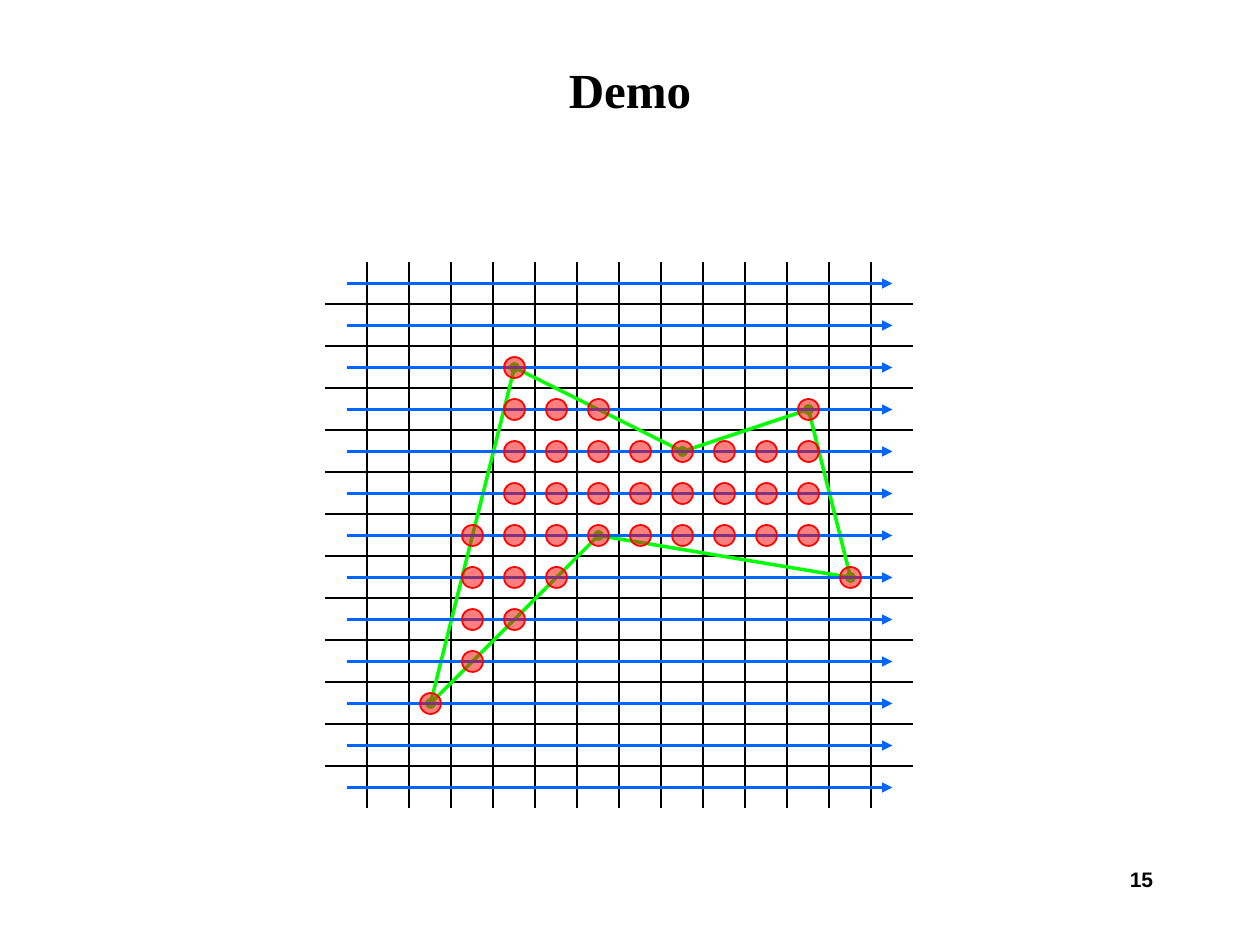
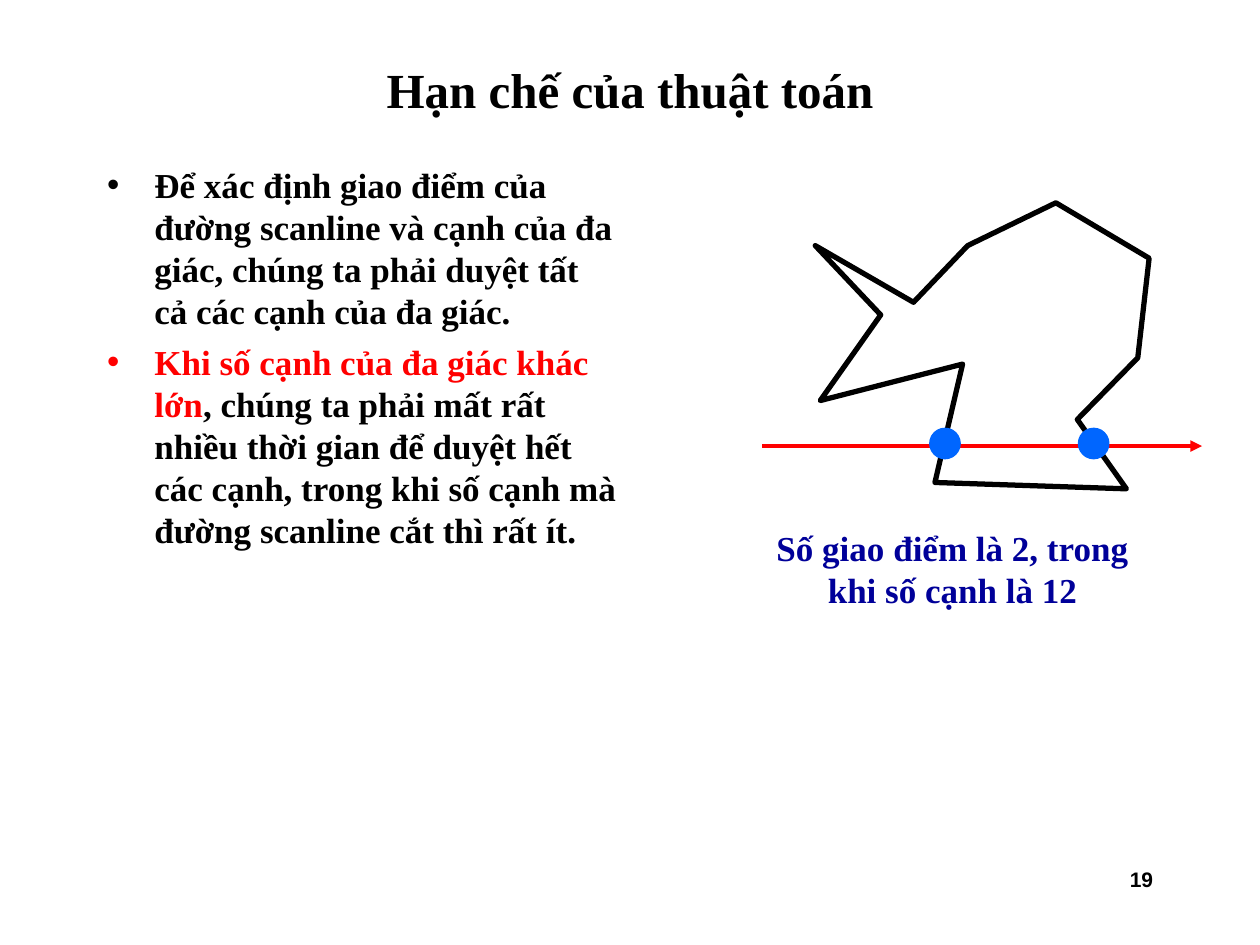
from lxml import etree
from pptx import Presentation
from pptx.dml.color import RGBColor
from pptx.enum import shapes, text
from pptx.oxml import ns
from pptx.util import Inches, Pt

SERIF, SANS = "Times New Roman", "Arial"
BLACK, RED, GREEN, BLUE, NAVY = "000000", "FF0000", "00FF00", "0066FF", "000099"
rgb = RGBColor.from_string


def add_line(slide, start, end, color, width, head=None, tail=None):
    """Draw a straight line between two points in inches, with optional end marks."""
    line = slide.shapes.add_connector(
        shapes.MSO_CONNECTOR.STRAIGHT, *[Inches(v) for v in (*start, *end)])
    line.line.color.rgb = rgb(color)
    line.line.width = Pt(width)
    for tag, mark in (("a:headEnd", head), ("a:tailEnd", tail)):
        if mark:
            etree.SubElement(line.line._get_or_add_ln(), ns.qn(tag), type=mark)
    etree.SubElement(line._element.spPr, ns.qn("a:effectLst"))


def add_dot(slide, center, size, color, width, opacity=100):
    """Draw a circle around a point in inches; opacity is in percent."""
    x, y = center
    dot = slide.shapes.add_shape(
        shapes.MSO_SHAPE.OVAL, Inches(x - size / 2), Inches(y - size / 2),
        Inches(size), Inches(size))
    dot.shadow.inherit = False
    dot.fill.solid()
    dot.fill.fore_color.rgb = rgb(color)
    dot.line.color.rgb = rgb(color)
    dot.line.width = Pt(width)
    if opacity < 100:
        fill_color = dot._element.spPr.find(".//" + ns.qn("a:srgbClr"))
        etree.SubElement(fill_color, ns.qn("a:alpha"), val=str(opacity * 1000))


prs = Presentation()
prs.slide_width, prs.slide_height = Inches(10), Inches(7.5)

# Title and page number of every slide
slides = []
for layout, heading, number in ((5, "Demo", "15"),
                                (1, "Hạn chế của thuật toán", "19")):
    slide = prs.slides.add_slide(prs.slide_layouts[layout])
    slides.append(slide)

    title = slide.shapes.title
    title.left, title.top = Inches(0.75), Inches(0.33)
    title.width, title.height = Inches(8.5), Inches(0.75)
    title.text_frame.text = heading
    title.text_frame.auto_size = text.MSO_AUTO_SIZE.NONE
    title.text_frame.vertical_anchor = text.MSO_ANCHOR.MIDDLE

    page = slide.shapes.add_textbox(
        Inches(7.17), Inches(6.83), Inches(2.08), Inches(0.5))
    page.text_frame.word_wrap = True
    page.text_frame.text = number

    for box, align, font_name, size in (
            (title, text.PP_ALIGN.CENTER, SERIF, 28),
            (page, text.PP_ALIGN.RIGHT, SANS, 12)):
        paragraph = box.text_frame.paragraphs[0]
        paragraph.alignment = align
        paragraph.font.name, paragraph.font.size = font_name, Pt(size)
        paragraph.font.bold = True
        paragraph.font.color.rgb = rgb(BLACK)

demo, limits = slides

# Demo: pixel grid, polygon, then each scanline with the pixels it fills
CELL = 1 / 3
ROWS, COLUMNS = 13, 14
GRID_LEFT, GRID_TOP = 2.58, 2.08
GRID_RIGHT, GRID_BOTTOM = GRID_LEFT + COLUMNS * CELL, GRID_TOP + ROWS * CELL
FIRST_X, FIRST_Y = 2.75, 2.25  # centre of the first pixel

for row in range(1, ROWS):
    y = GRID_TOP + row * CELL
    add_line(demo, (GRID_LEFT, y), (GRID_RIGHT, y), BLACK, 1)
for column in range(1, COLUMNS):
    x = GRID_LEFT + column * CELL
    add_line(demo, (x, GRID_TOP), (x, GRID_BOTTOM), BLACK, 1)

vertex_pixels = [(2, 10), (4, 2), (8, 4), (11, 3), (12, 7), (6, 6)]
vertices = [(FIRST_X + column * CELL, FIRST_Y + row * CELL)
            for column, row in vertex_pixels]
for start, end in zip(vertices, vertices[1:] + vertices[:1]):
    add_line(demo, start, end, GREEN, 2, head="oval", tail="oval")

filled_columns = {
    2: [4], 3: [4, 5, 6, 11], 4: range(4, 12), 5: range(4, 12),
    6: range(3, 12), 7: [3, 4, 5, 12], 8: [3, 4], 9: [3], 10: [2],
}
for row in range(ROWS):
    y = FIRST_Y + row * CELL
    add_line(demo, (FIRST_X, y), (FIRST_X + 13 * CELL, y), BLUE, 1.5, tail="triangle")
    for column in filled_columns.get(row, []):
        add_dot(demo, (FIRST_X + column * CELL, y), CELL / 2, RED, 1, opacity=50)

# Limits: the argument on the left
reasons = [
    [("Để xác định giao điểm của đường scanline và cạnh của đa giác, "
      "chúng ta phải duyệt tất cả các cạnh của đa giác.", BLACK)],
    [("Khi số cạnh của đa giác khác lớn", RED),
     (", chúng ta phải mất rất nhiều thời gian để duyệt hết các cạnh, "
      "trong khi số cạnh mà đường scanline cắt thì rất ít.", BLACK)],
]
body = limits.placeholders[1]
body.left, body.top = Inches(0.75), Inches(1.25)
body.width, body.height = Inches(4.25), Inches(5.42)
body.text_frame.auto_size = text.MSO_AUTO_SIZE.NONE
for index, reason in enumerate(reasons):
    paragraph = (body.text_frame.add_paragraph() if index
                 else body.text_frame.paragraphs[0])
    paragraph.space_before = Pt(5 if index else 0)
    paragraph.font.name, paragraph.font.size = SERIF, Pt(20)
    paragraph.font.bold = True
    for wording, color in reason:
        run = paragraph.add_run()
        run.text = wording
        run.font.color.rgb = rgb(color)

# Limits: a scanline that crosses two of the polygon's edges
add_line(limits, (6.05, 3.54), (9.54, 3.54), RED, 2.25, tail="triangle")

outline = [(Inches(x), Inches(y)) for x, y in (
    (6.47, 1.95), (7.25, 2.4), (7.68, 1.95), (8.38, 1.61), (9.12, 2.05),
    (9.03, 2.84), (8.55, 3.33), (8.94, 3.88), (7.42, 3.83), (7.64, 2.89),
    (6.51, 3.18), (6.99, 2.5))]
builder = limits.shapes.build_freeform(*outline[0])
builder.add_line_segments(outline[1:], close=True)
polygon = builder.convert_to_shape()
polygon.shadow.inherit = False
polygon.fill.background()
polygon.line.color.rgb = rgb(BLACK)
polygon.line.width = Pt(3)

for crossing_x in (7.5, 8.68):
    add_dot(limits, (crossing_x, 3.52), 0.21, BLUE, 3)

caption = limits.shapes.add_textbox(
    Inches(5.88), Inches(4.13), Inches(3.36), Inches(0.77))
caption.text_frame.word_wrap = True
caption.text_frame.text = "Số giao điểm là 2, trong khi số cạnh là 12"
paragraph = caption.text_frame.paragraphs[0]
paragraph.alignment = text.PP_ALIGN.CENTER
paragraph.font.name, paragraph.font.size = SERIF, Pt(20)
paragraph.font.bold = True
paragraph.font.color.rgb = rgb(NAVY)

prs.save("out.pptx")
